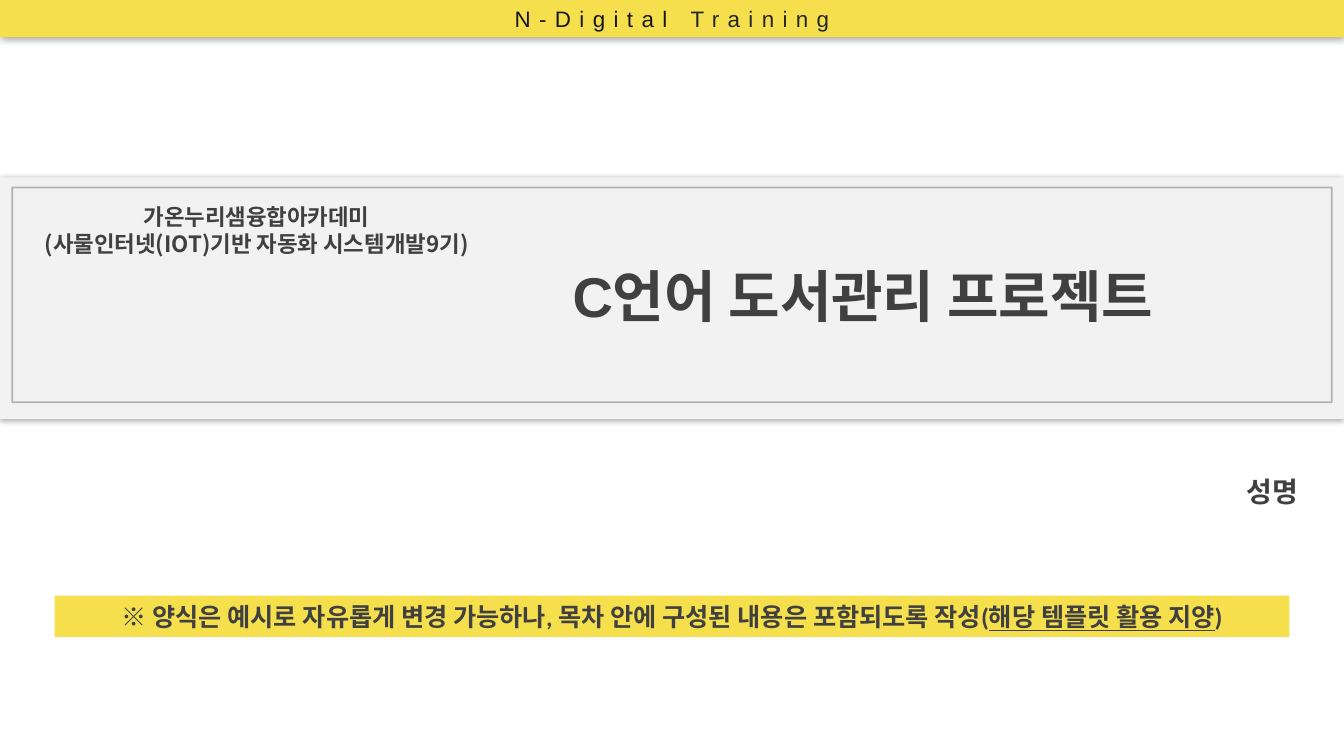
from dataclasses import dataclass

from lxml.etree import SubElement
from pptx import Presentation
from pptx.dml.color import RGBColor as RGB
from pptx.enum.shapes import MSO_SHAPE as SHAPE
from pptx.enum.text import MSO_ANCHOR as ANCHOR, MSO_AUTO_SIZE as AUTO, PP_ALIGN as ALIGN
from pptx.oxml.ns import qn
from pptx.util import Pt

HEADER = ["N-Digital ", "Training"]
COURSE = ["가온누리샘융합아카데미", "(사물인터넷(IOT)기반 자동화 시스템개발9기)"]
TITLE = "C언어 도서관리 프로젝트"
AUTHOR = "성명"
NOTICE = ["※ 양식은 예시로 자유롭게 변경 가능하나, 목차 안에 구성된 내용은 포함되도록 작성(",
          "해당 템플릿 활용 지양", ")"]


@dataclass(frozen=True)
class Theme:
    yellow: RGB = RGB(0xF5, 0xDF, 0x4D)
    band: RGB = RGB(0xF2, 0xF2, 0xF2)
    frame: RGB = RGB(0x93, 0x95, 0x97)
    text: RGB = RGB(0x40, 0x40, 0x40)
    header: RGB = RGB(0x18, 0x17, 0x17)
    header_end: RGB = RGB(0x26, 0x26, 0x26)
    latin: str = "Arial"
    notice_font: str = "Calibri"
    korean: str = "Noto Sans CJK KR"
    title_size: int = 40
    author_size: int = 20
    notice_size: int = 18
    small_size: int = 16


T = Theme()
WIDTH, HEIGHT = 960, 540
BAND_TOP, BAND_HEIGHT = 126.7, 172.8
FRAME_INSET = 8.7


def add_rect(slide, box, fill=None):
    sp = slide.shapes.add_shape(SHAPE.RECTANGLE, *map(Pt, box))
    sp.shadow.inherit = False
    sp.line.fill.background()
    if fill is None:
        sp.fill.background()
    else:
        sp.fill.solid()
        sp.fill.fore_color.rgb = fill
    return sp


def add_alpha(color, percent):
    SubElement(color, qn("a:alpha"), val=str(percent * 1000))


def add_glow_shadow(sp):
    """Soft black shadow spreading evenly around the shape."""
    effects = sp._element.spPr.find(qn("a:effectLst"))
    shadow = SubElement(effects, qn("a:outerShdw"), blurRad=str(Pt(5)), dist="0",
                        dir="0", algn="ctr", rotWithShape="0")
    add_alpha(SubElement(shadow, qn("a:srgbClr"), val="000000"), 40)


def set_up_frame(tf, side=7.2, top=3.6, anchor=ANCHOR.TOP):
    tf.word_wrap = True
    tf.auto_size = AUTO.NONE
    tf.vertical_anchor = anchor
    tf.margin_left = tf.margin_right = Pt(side)
    tf.margin_top = tf.margin_bottom = Pt(top)


def write(p, texts, size, font=T.latin, color=T.text, bold=True, align=ALIGN.CENTER):
    p.alignment = align
    p.font.size, p.font.bold, p.font.name = Pt(size), bold, font
    p.font.color.rgb = color
    SubElement(p.font._element, qn("a:ea"), typeface=T.korean)
    for text in texts:
        p.add_run().text = text
    return p.runs


def add_text(slide, box, **margins):
    tf = slide.shapes.add_textbox(*map(Pt, box)).text_frame
    set_up_frame(tf, **margins)
    return tf


def add_author(slide):
    tf = add_text(slide, (528.5, 326.9, 406, 31.7), top=0)
    write(tf.paragraphs[0], [AUTHOR], T.author_size, align=ALIGN.RIGHT)
    tf.paragraphs[0].line_spacing = 1.5


def add_notice(slide):
    width = 882
    sp = add_rect(slide, ((WIDTH - width) / 2, 425.5, width, 29.5), T.yellow)
    set_up_frame(sp.text_frame, anchor=ANCHOR.MIDDLE)
    runs = write(sp.text_frame.paragraphs[0], NOTICE, T.notice_size, T.notice_font)
    runs[1].font.underline = True


def add_course(slide):
    tf = add_text(slide, (14.4, 141.8, 337.7, 46))
    for i, line in enumerate(COURSE):
        p = tf.add_paragraph() if i else tf.paragraphs[0]
        write(p, [line], T.small_size, T.korean)


def place_title(slide):
    title = slide.shapes.title
    title.left, title.top, title.width, title.height = map(Pt, (293, 186.5, 646.6, 48.2))
    set_up_frame(title.text_frame, top=0)
    write(title.text_frame.paragraphs[0], [TITLE], T.title_size)
    slide.shapes._spTree.append(title._element)  # in front of the band


def add_header(slide):
    sp = add_rect(slide, (0, 0, WIDTH, 26.6), T.yellow)
    add_glow_shadow(sp)
    set_up_frame(sp.text_frame, anchor=ANCHOR.MIDDLE)
    runs = write(sp.text_frame.paragraphs[0], HEADER, T.small_size,
                 color=T.header, bold=False)
    runs[1].font.color.rgb = T.header_end
    for r in runs:
        r.font._element.set("spc", "600")


def add_frame(slide):
    sp = add_rect(slide, (FRAME_INSET, 133.9, WIDTH - 2 * FRAME_INSET, 153.4))
    sp.line.color.rgb = T.frame
    sp.line.width = Pt(1.25)
    add_alpha(sp.line._ln.find(".//" + qn("a:srgbClr")), 70)


def main():
    prs = Presentation()
    prs.slide_width, prs.slide_height = Pt(WIDTH), Pt(HEIGHT)
    slide = prs.slides.add_slide(prs.slide_layouts.get_by_name("Title Only"))
    add_author(slide)
    add_notice(slide)
    add_glow_shadow(add_rect(slide, (0, BAND_TOP, WIDTH, BAND_HEIGHT), T.band))
    add_course(slide)
    place_title(slide)
    add_header(slide)
    add_frame(slide)
    prs.save("out.pptx")


if __name__ == "__main__":
    main()
